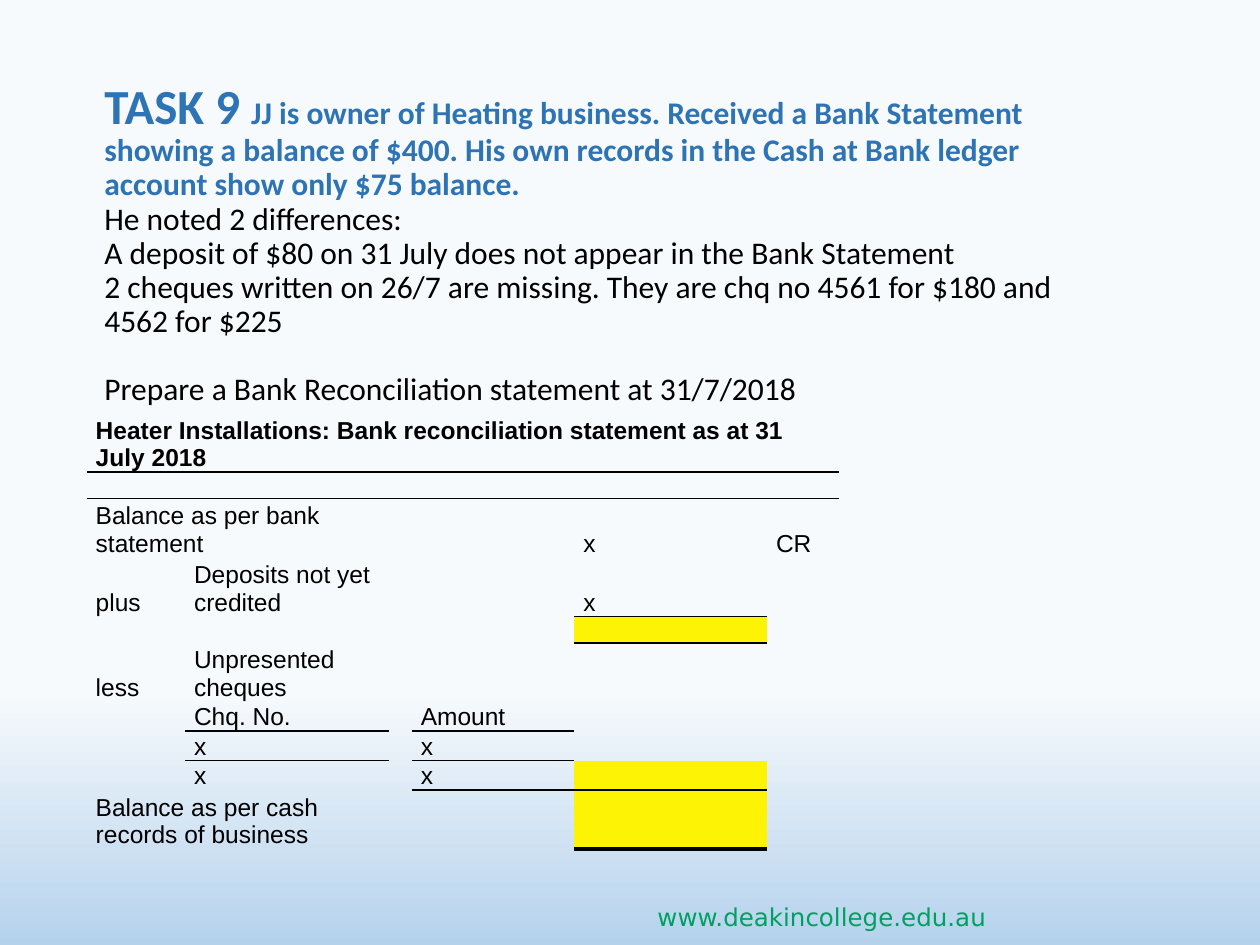
from lxml import etree
from pptx import Presentation
from pptx.dml.color import RGBColor
from pptx.enum.text import MSO_ANCHOR
from pptx.oxml.ns import qn
from pptx.util import Inches, Pt

BOTTOM = MSO_ANCHOR.BOTTOM
BLACK = RGBColor(0x00, 0x00, 0x00)
BLUE = RGBColor(0x2E, 0x74, 0xB5)
GREEN = RGBColor(0x00, 0xA1, 0x60)
YELLOW = RGBColor(0xFC, 0xF3, 0x05)
SKY_TOP = RGBColor(0xF7, 0xFA, 0xFD)
SKY_BOTTOM = RGBColor(0xB5, 0xD2, 0xEC)
PLAIN_TABLE = "{2D5ABB26-0587-4C30-8999-92F81FD0307C}"

TASK = [
    [("TASK 9 ", 28, BLUE, True),
     ("JJ is owner of Heating business. Received a Bank Statement showing a balance of $400. "
      "His own records in the Cash at Bank ledger account show only $75 balance.", 18, BLUE, True)],
    [("He noted 2 differences:", 18, BLACK, False)],
    [("A deposit of $80 on 31 July does not appear in the Bank Statement", 18, BLACK, False)],
    [("2 cheques written on 26/7 are missing. They are chq no 4561 for $180 and 4562 for $225",
      18, BLACK, False)],
    [("Prepare a Bank Reconciliation statement at 31/7/2018", 18, BLACK, False)],
]
COLUMN_WIDTHS = [0.78, 1.62, 0.18, 1.29, 1.53, 0.57]
ROW_HEIGHTS = [0.44, 0.21, 0.43, 0.44, 0.21, 0.44, 0.22, 0.22, 0.22, 0.44]
ENTRIES = {
    (0, 0): "Heater Installations: Bank reconciliation statement as at 31 July 2018",
    (2, 0): "Balance as per bank statement", (2, 4): "x", (2, 5): "CR",
    (3, 0): "plus", (3, 1): "Deposits not yet credited", (3, 4): "x",
    (5, 0): "less", (5, 1): "Unpresented cheques",
    (6, 1): "Chq. No.", (6, 3): "Amount",
    (7, 1): "x", (7, 3): "x",
    (8, 1): "x", (8, 3): "x",
    (9, 0): "Balance as per cash records of business",
}
SPANS = [(0, 0, 5), (2, 0, 2), (3, 1, 2), (5, 1, 2), (9, 0, 2)]
RULES = {(0, column): 1 for column in range(len(COLUMN_WIDTHS))}
RULES.update({(3, 4): 1, (6, 1): 1, (6, 3): 1, (8, 3): 1, (8, 4): 1, (9, 4): 2.25})
TOTALS = {(4, 4), (8, 4), (9, 4)}


class TaskSlide:
    """Holds the slide being built and its text and table style."""

    def __init__(self, deck):
        self.slide = deck.slides.add_slide(deck.slide_layouts[6])
        self.table_font = "Arial"
        self.table_size = 14

    def background(self, top, bottom):
        fill = self.slide.background.fill
        fill.gradient()
        fill.gradient_angle = 270
        for stop, color, position in zip(fill.gradient_stops, (top, bottom), (0.73, 1)):
            stop.color.rgb = color
            stop.position = position

    def style(self, run, font, size, color, bold=False):
        run.font.name = font
        run.font.size = Pt(size)
        run.font.color.rgb = color
        run.font.bold = bold

    def text(self, box, paragraphs, font, indent=0, spacing=1):
        frame = self.slide.shapes.add_textbox(*map(Inches, box)).text_frame
        frame.word_wrap = True
        for index, parts in enumerate(paragraphs):
            paragraph = frame.add_paragraph() if index else frame.paragraphs[0]
            paragraph.line_spacing = spacing
            paragraph._p.get_or_add_pPr().set("marL", str(Inches(indent)))
            for wording, size, color, bold in parts:
                run = paragraph.add_run()
                run.text = wording
                self.style(run, font, size, color, bold)
        return frame

    def border(self, cell, side, width):
        line = etree.SubElement(cell._tc.get_or_add_tcPr(), qn(f"a:{side}"), w=str(Pt(width)))
        fill = etree.SubElement(line, qn("a:solidFill"))
        etree.SubElement(fill, qn("a:srgbClr"), val=str(BLACK))

    def cell(self, cell, place):
        row, column = place
        cell.margin_left = cell.margin_right = Inches(0.07)
        cell.margin_top = cell.margin_bottom = 0
        cell.vertical_anchor = BOTTOM
        for side, rule in (("lnT", (row - 1, column)), ("lnB", place)):
            if rule in RULES:
                self.border(cell, side, RULES[rule])
        if place in TOTALS:
            cell.fill.solid()
            cell.fill.fore_color.rgb = YELLOW
        else:
            cell.fill.background()
        paragraph = cell.text_frame.paragraphs[0]
        if place in ENTRIES:
            paragraph.text = ENTRIES[place]
            self.style(paragraph.runs[0], self.table_font, self.table_size, BLACK, row == 0)
        else:
            etree.SubElement(paragraph._p, qn("a:endParaRPr"), sz="1200")

    def table(self, left, top):
        frame = self.slide.shapes.add_table(
            len(ROW_HEIGHTS), len(COLUMN_WIDTHS), Inches(left), Inches(top),
            Inches(sum(COLUMN_WIDTHS)), Inches(sum(ROW_HEIGHTS)))
        table = frame.table
        table.first_row = table.horz_banding = False
        table._tbl.tblPr.find(qn("a:tableStyleId")).text = PLAIN_TABLE
        for column, width in zip(table.columns, COLUMN_WIDTHS):
            column.width = Inches(width)
        for row, height in zip(table.rows, ROW_HEIGHTS):
            row.height = Inches(height)
        for row, first, last in SPANS:
            table.cell(row, first).merge(table.cell(row, last))
        for row in range(len(ROW_HEIGHTS)):
            for column in range(len(COLUMN_WIDTHS)):
                self.cell(table.cell(row, column), (row, column))


def main():
    deck = Presentation()
    deck.slide_width, deck.slide_height = Inches(10), Inches(7.5)
    page = TaskSlide(deck)
    page.background(SKY_TOP, SKY_BOTTOM)
    page.text((5.12, 7.11, 2.96, 0.31),
              [[("www.deakincollege.edu.au", 14, GREEN, False)]], "DejaVu Sans")
    task = page.text((0.35, 0.6, 8.62, 2.65), TASK, "Calibri", indent=0.38, spacing=0.9)
    task.paragraphs[-1].space_before = Pt(19.5)
    page.table(0.69, 3.28)
    deck.save("out.pptx")


if __name__ == "__main__":
    main()
